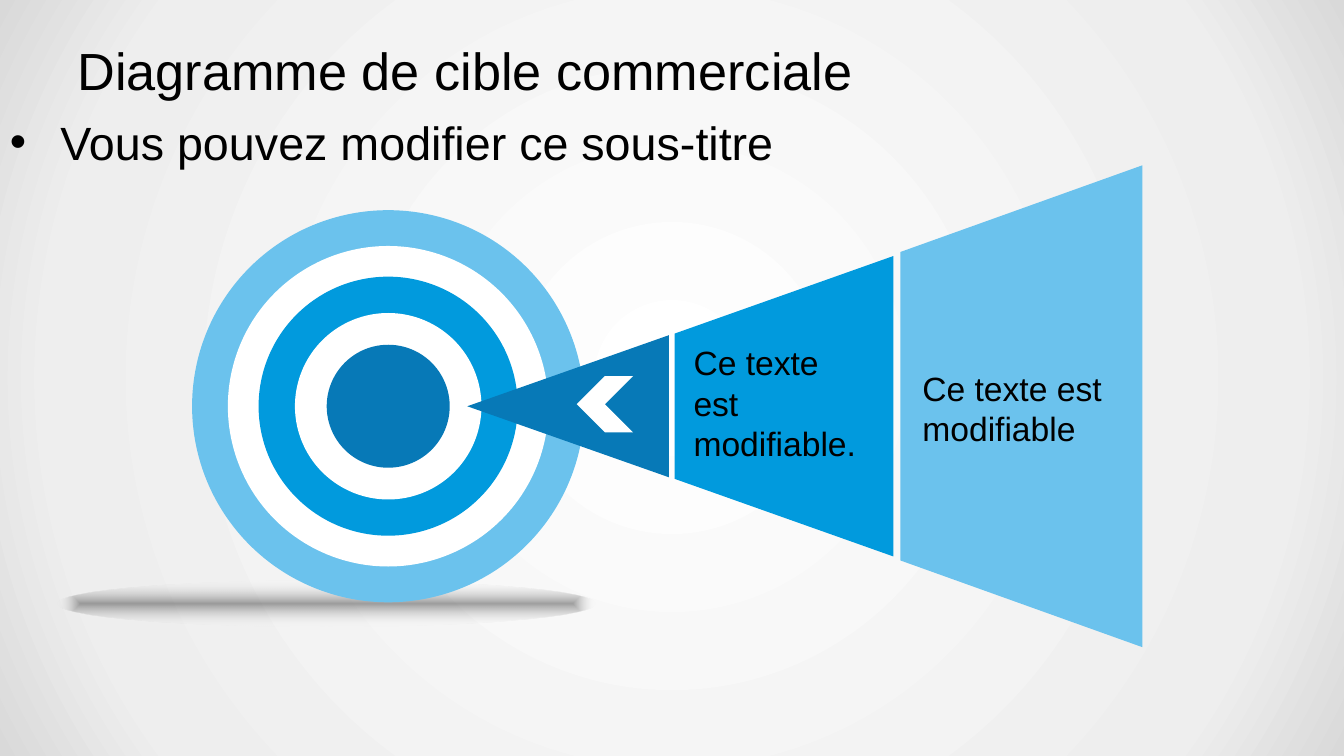
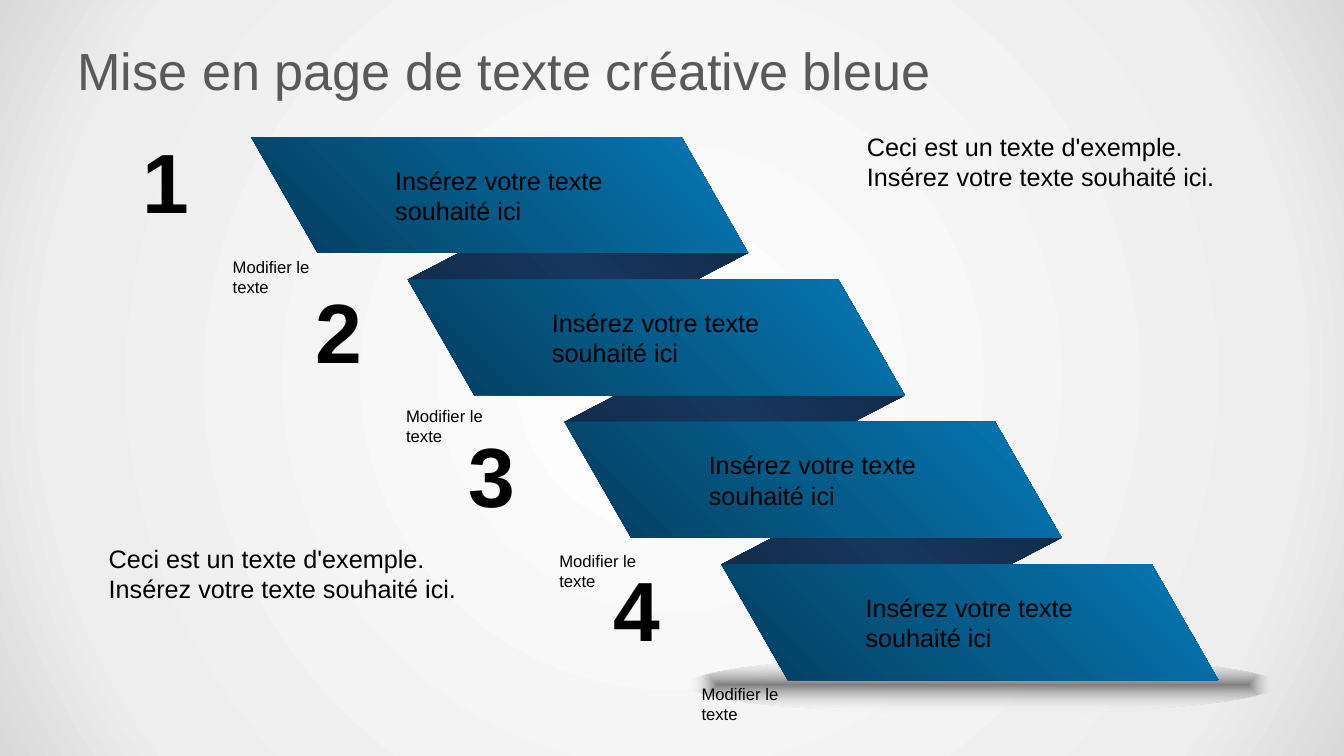
from dataclasses import dataclass

from lxml import etree
from pptx import Presentation
from pptx import util as u
from pptx.dml import color
from pptx.enum import shapes, text
from pptx.oxml import ns

Inches = u.Inches


@dataclass(frozen=True)
class Theme:
    font: str = "Arial"
    black: str = "000000"
    gray: str = "595959"
    white: str = "FFFFFF"
    sky: str = "6BC2ED"
    azure: str = "019ADD"
    blue: str = "0779B7"
    title: float = 37.3
    subtitle: float = 33.3
    number: float = 60
    callout: float = 24
    body: float = 18
    caption: float = 11.9
    # Gradient stops: position, colour, opacity (all in percent)
    backdrop: tuple = ((0, "FFFFFF", 100), (81, "EEEEEE", 100), (100, "D9D9D9", 100))
    ribbon: tuple = ((0, "043C5C", 100), (50, "055B89", 100), (100, "0779B7", 100))
    fold: tuple = ((0, "0F243E", 100), (50, "17375E", 100), (100, "0F243E", 100))
    target_shadow: tuple = ((0, "0D0D0D", 38), (100, "FFFFFF", 0))
    ribbon_shadow: tuple = ((0, "808080", 100), (100, "FFFFFF", 0))


T = Theme()

# Slide 1
TARGET_TITLE = "Diagramme de cible commerciale"
TARGET_SUBTITLE = "Vous pouvez modifier ce sous-titre"
TARGET_CENTER = (3.85, 4.03)
RINGS = [(3.89, T.sky), (3.18, T.white), (2.57, T.azure), (1.85, T.white), (1.22, T.blue)]
# left, right, half height at left, half height at right, colour
BEAM_PARTS = [(8.93, 11.33, 1.53, 2.39, T.sky), (6.69, 8.86, 0.72, 1.49, T.azure)]
BEAM_TEXTS = [
    ("Ce texte est modifiable.", (6.78, 3.54, 1.89, 0.91)),
    ("Ce texte est modifiable", (9.05, 3.59, 2, 0.91)),
]

# Slide 2
RIBBON_TITLE = "Mise en page de texte créative bleue"
RIBBON_TEXT = "Insérez votre texte souhaité ici"
CAPTION = "Modifier le texte"
EXAMPLE = "Ceci est un texte d'exemple.\vInsérez votre texte souhaité ici."
EXAMPLE_SPOTS = [(8.5, 1.25), (0.98, 5.34)]
STEPS = [("1", 1.32, 1.24), ("2", 3.03, 2.72), ("3", 4.55, 4.15), ("4", 5.99, 5.48)]
CAPTION_SPOTS = [(2.21, 2.5), (3.93, 3.98), (5.45, 5.42), (6.86, 6.74)]
RIBBON_START = (2.49, 1.36)
RIBBON_STEP = (1.555, 1.413)
RIBBON_TOP, RIBBON_SLANT, RIBBON_HEIGHT = 4.27, 0.66, 1.15


def gradient(parent, stops, path_kind=None, angle=0):
    """Replace the solid fill in parent by a gradient, round if path_kind is given."""
    grad = etree.Element(ns.qn("a:gradFill"), rotWithShape="1")
    stop_list = etree.SubElement(grad, ns.qn("a:gsLst"))
    for position, rgb, opacity in stops:
        stop = etree.SubElement(stop_list, ns.qn("a:gs"), pos=str(position * 1000))
        tint = etree.SubElement(stop, ns.qn("a:srgbClr"), val=rgb)
        if opacity < 100:
            etree.SubElement(tint, ns.qn("a:alpha"), val=str(opacity * 1000))
    if path_kind:
        focus = etree.SubElement(grad, ns.qn("a:path"), attrib={"path": path_kind})
        half = {side: "50000" for side in "ltrb"}
        etree.SubElement(focus, ns.qn("a:fillToRect"), attrib=half)
    else:
        etree.SubElement(grad, ns.qn("a:lin"), ang=str(angle * 60000), scaled="0")
    parent.replace(parent.find(ns.qn("a:solidFill")), grad)


def paint(shape, fill, **gradient_format):
    """Fill with one colour or with gradient stops, without line or shadow."""
    shape.shadow.inherit = False
    shape.line.fill.background()
    shape.fill.solid()
    if isinstance(fill, str):
        shape.fill.fore_color.rgb = color.RGBColor.from_string(fill)
    else:
        gradient(shape.element.spPr, fill, **gradient_format)
    return shape


def preset(owner, kind, box, fill, **gradient_format):
    shape = owner.add_shape(kind, *map(Inches, box))
    return paint(shape, fill, **gradient_format)


def polygon(owner, points, fill, **gradient_format):
    start, *rest = [(Inches(x), Inches(y)) for x, y in points]
    outline = owner.build_freeform(*start)
    outline.add_line_segments(rest, close=True)
    return paint(outline.convert_to_shape(), fill, **gradient_format)


def write(shape, words, size, ink=T.black, bold=False, middle=False, wrap=True,
          insets=(0.1, 0.05, 0.1, 0.05), bullet=False):
    frame = shape.text_frame
    frame.word_wrap = wrap
    frame.vertical_anchor = text.MSO_ANCHOR.MIDDLE if middle else text.MSO_ANCHOR.TOP
    (frame.margin_left, frame.margin_top,
     frame.margin_right, frame.margin_bottom) = map(Inches, insets)
    frame.text = words
    paragraph = frame.paragraphs[0]
    paragraph.alignment = text.PP_ALIGN.LEFT
    if bullet:
        props = paragraph._p.get_or_add_pPr()
        props.set("marL", str(Inches(0.5)))
        props.set("indent", str(-Inches(0.5)))
        etree.SubElement(props, ns.qn("a:buFont"), typeface=T.font)
        etree.SubElement(props, ns.qn("a:buChar"), char="•")
    for run in paragraph.runs:
        run.font.name, run.font.size, run.font.bold = T.font, u.Pt(size), bold
        run.font.color.rgb = color.RGBColor.from_string(ink)


def label(slide, words, box, size, **text_format):
    write(slide.shapes.add_textbox(*map(Inches, box)), words, size, **text_format)


def new_slide(prs, title, ink):
    slide = prs.slides.add_slide(prs.slide_layouts[6])
    label(slide, title, (0.67, 0.3, 12, 0.78), T.title, ink=ink, middle=True)
    return slide


def floor_shadow(slide, box, stops):
    preset(slide.shapes, shapes.MSO_SHAPE.OVAL, box, stops, path_kind="shape")


def target_slide(prs):
    slide = new_slide(prs, TARGET_TITLE, T.black)
    floor_shadow(slide, (0.57, 5.76, 5.34, 0.46), T.target_shadow)
    label(slide, TARGET_SUBTITLE, (0, 1.08, 12, 0.56), T.subtitle, bullet=True)

    center_x, center_y = TARGET_CENTER
    target = slide.shapes.add_group_shape().shapes
    for size, fill in RINGS:
        box = (center_x - size / 2, center_y - size / 2, size, size)
        preset(target, shapes.MSO_SHAPE.OVAL, box, fill)

    beam = slide.shapes.add_group_shape().shapes
    for left, right, near, far, fill in BEAM_PARTS:
        polygon(beam, [(left, center_y - near), (right, center_y - far),
                       (right, center_y + far), (left, center_y + near)], fill)
    tip = preset(beam, shapes.MSO_SHAPE.ISOSCELES_TRIANGLE, (4.93, 3.03, 1.41, 2), T.blue)
    tip.rotation = 270
    chevron = preset(slide.shapes, shapes.MSO_SHAPE.CHEVRON, (5.72, 3.73, 0.56, 0.56), T.white)
    chevron.rotation = 180
    for words, box in BEAM_TEXTS:
        label(slide, words, box, T.callout, middle=True)


def ribbon_corners(index):
    """Corners clockwise from the top left."""
    x, y = (start + index * step for start, step in zip(RIBBON_START, RIBBON_STEP))
    low_x, low_y = x + RIBBON_SLANT, y + RIBBON_HEIGHT
    return [(x, y), (x + RIBBON_TOP, y), (low_x + RIBBON_TOP, low_y), (low_x, low_y)]


def ribbon_slide(prs):
    slide = new_slide(prs, RIBBON_TITLE, T.gray)
    floor_shadow(slide, (6.83, 6.5, 5.83, 0.58), T.ribbon_shadow)
    ribbons = [ribbon_corners(index) for index in range(len(STEPS))]
    for upper, lower in zip(ribbons, ribbons[1:]):
        polygon(slide.shapes, [upper[1], upper[2], lower[3], lower[0]], T.fold, angle=315)
    for corners in ribbons:
        ribbon = polygon(slide.shapes, corners, T.ribbon, angle=315)
        write(ribbon, RIBBON_TEXT, T.body, middle=True, insets=(1.43, 0.1, 1, 0.1))
    for (number, left, top), spot in zip(STEPS, CAPTION_SPOTS):
        label(slide, number, (left, top, 0.67, 1.11), T.number, bold=True, wrap=False)
        label(slide, CAPTION, (*spot, 1.16, 0.4), T.caption)
    for spot in EXAMPLE_SPOTS:
        label(slide, EXAMPLE, (*spot, 4.08, 1.01), T.body)


def main():
    prs = Presentation()
    prs.slide_width, prs.slide_height = Inches(13.33), Inches(7.5)
    background = prs.slide_master.background
    background.fill.solid()
    gradient(prs.slide_master.element.cSld.bg.bgPr, T.backdrop, path_kind="circle")
    target_slide(prs)
    ribbon_slide(prs)
    prs.save("out.pptx")


if __name__ == "__main__":
    main()
